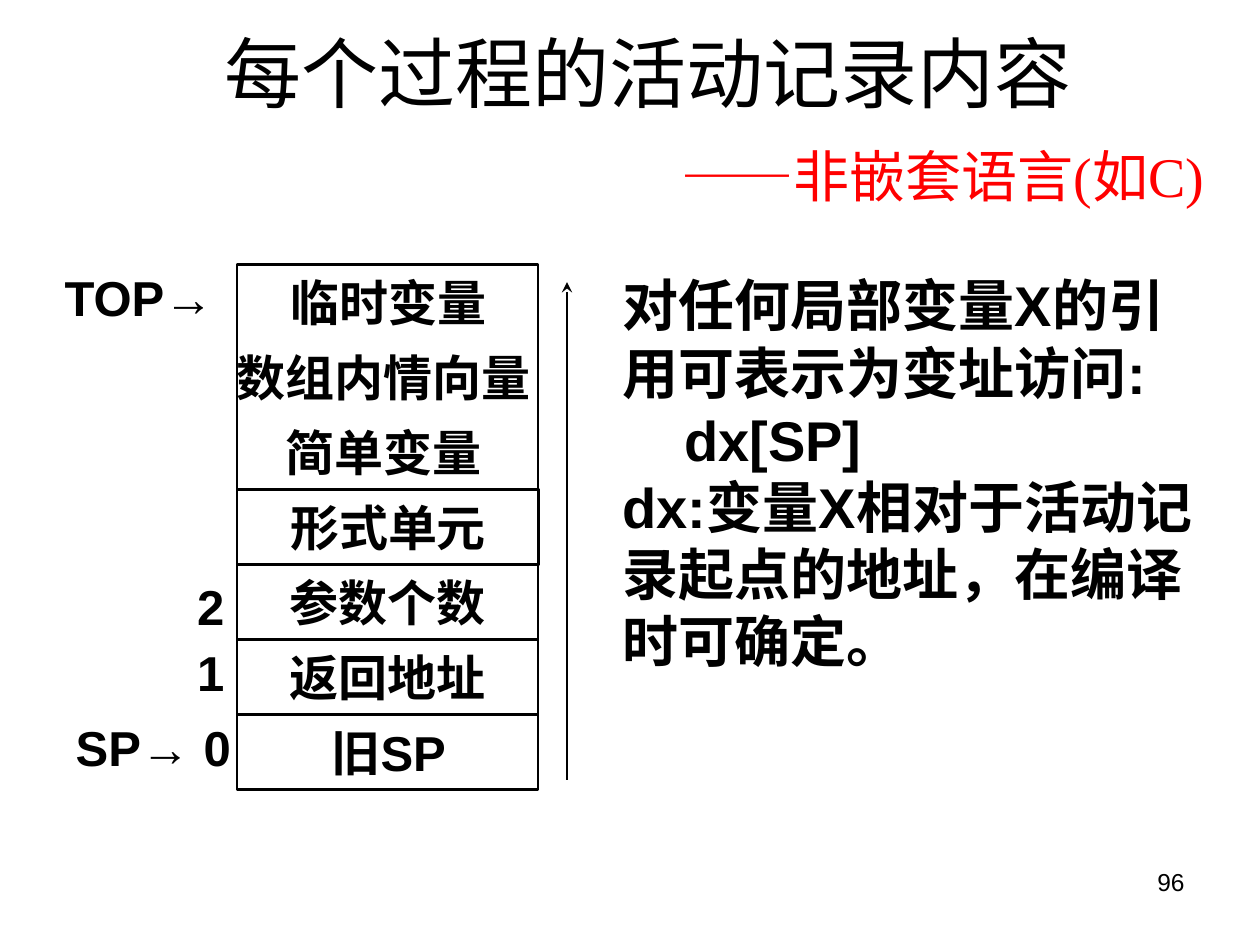
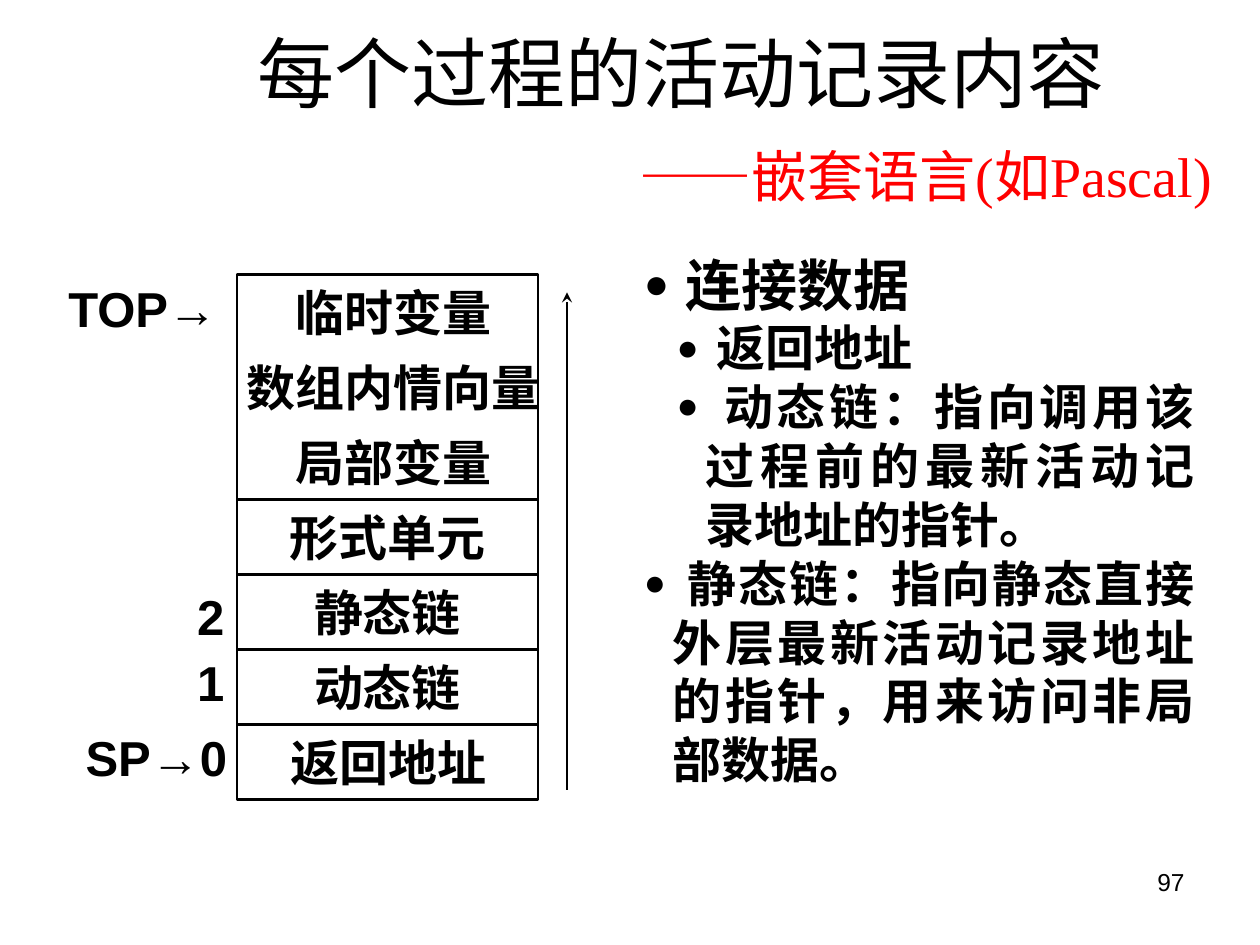
"""Builds two slides on activation records for flat and nested languages."""
from lxml import etree
from pptx import Presentation
from pptx import util as u
from pptx.dml.color import RGBColor
from pptx.enum import shapes, text
from pptx.oxml.ns import qn

BLACK, RED = "000000", "FF0000"
LEFT, CENTER, RIGHT, JUSTIFY = (text.PP_ALIGN.LEFT, text.PP_ALIGN.CENTER,
                                text.PP_ALIGN.RIGHT, text.PP_ALIGN.JUSTIFY)
TITLE = "每个过程的活动记录内容"
STACK_X, STACK_W, ROW_H = 1.88, 2.39, 0.595
LABEL_W, LABEL_H = 1.5, 0.52
LABEL_DY = [0, 2.45, 2.97, 3.57]
HANG = 0.23


def rgb(hex_color):
    return RGBColor.from_string(hex_color)


def write(tf, content, size=28, color=BLACK, bold=True, font="Arial",
          align=CENTER, before=0, new=False):
    p = tf.add_paragraph() if new else tf.paragraphs[0]
    p.alignment, p.space_before = align, u.Pt(before)
    r = p.add_run()
    r.text = content
    r.font.size, r.font.bold, r.font.name = u.Pt(size), bold, font
    r.font.color.rgb = rgb(color)
    return p


slides = [
    {
        "number": "96", "top": 2.1,
        "title": (0.35, 9.59, 0.38), "subtitle": "——非嵌套语言(如C)",
        "rows": [("临时变量", 2.41), ("数组内情向量", 2.33), ("简单变量", 2.33),
                 ("形式单元", 2.4), ("参数个数", 2.39), ("返回地址", 2.39),
                 ("旧SP", 2.41)],
        "labels": [("TOP→", 1.79), ("2", 1.88), ("1", 1.88), ("SP→ 0", 1.93)],
        "body": (4.84, 2.1, 4.92, 4.25), "bullets": False,
        "points": [("对任何局部变量X的引用可表示为变址访问:", 32, 0),
                   ("dx[SP]", 32, 0.49),
                   ("dx:变量X相对于活动记录起点的地址，在编译时可确定。", 32, 0)],
    },
    {
        "number": "97", "top": 2.18,
        "title": (0.98, 8.86, 0.22), "subtitle": "——嵌套语言(如Pascal)",
        "rows": [("临时变量", 2.49), ("数组内情向量", 2.49), ("局部变量", 2.49),
                 ("形式单元", 2.39), ("静态链", 2.39), ("动态链", 2.39),
                 ("返回地址", 2.41)],
        "labels": [("TOP→", 1.82), ("2", 1.88), ("1", 1.88), ("SP→0", 1.9)],
        "body": (5, 1.94, 4.58, 5), "bullets": True,
        "points": [(" 连接数据", 32, 0.24),
                   (" 返回地址", 28, 0.5),
                   (" 动态链：指向调用该过程前的最新活动记录地址的指针。", 28, 0.5),
                   (" 静态链：指向静态直接外层最新活动记录地址的指针，用来访问非局部数据。",
                    28, 0.24)],
    },
]

prs = Presentation()
prs.slide_width, prs.slide_height = u.Inches(10), u.Inches(7.5)

for data in slides:
    s = prs.slides.add_slide(prs.slide_layouts[1])
    top = data["top"]

    sp = s.shapes.title
    x, w, inset = data["title"]
    sp.left, sp.top, sp.width, sp.height = map(u.Inches, (x, 0.13, w, 1.6))
    tf = sp.text_frame
    tf.auto_size = text.MSO_AUTO_SIZE.NONE
    tf.vertical_anchor = text.MSO_ANCHOR.MIDDLE
    tf.margin_left = tf.margin_right = u.Inches(inset)
    write(tf, TITLE, size=44, bold=False, font="Times New Roman")
    write(tf, data["subtitle"], size=32, color=RED, bold=False,
          font="Times New Roman", align=RIGHT, before=14, new=True)

    sp = s.placeholders[1]
    sp.left, sp.top, sp.width, sp.height = map(u.Inches, data["body"])
    tf = sp.text_frame
    tf.auto_size = text.MSO_AUTO_SIZE.NONE
    for i, (point, size, indent) in enumerate(data["points"]):
        p = write(tf, point, size=size, new=i > 0,
                  align=JUSTIFY if data["bullets"] else LEFT)
        pPr = p._p.get_or_add_pPr()
        pPr.set("marL", str(u.Inches(indent)))
        pPr.set("indent", str(u.Inches(-HANG if data["bullets"] else 0)))
        if data["bullets"]:
            p.level = 1 if indent == 0.5 else 0
            etree.SubElement(pPr, qn("a:buSzPct"), val="75000")
            etree.SubElement(pPr, qn("a:buFont"), typeface="Arial")
            etree.SubElement(pPr, qn("a:buChar"), char="●")
        else:
            etree.SubElement(pPr, qn("a:buNone"))

    frame = [(STACK_W, 0, len(data["rows"]), "")]
    rows = [(w, i, 1, name) for i, (name, w) in enumerate(data["rows"])]
    for w, row, span, name in frame + rows:
        sp = s.shapes.add_shape(
            shapes.MSO_SHAPE.RECTANGLE, u.Inches(STACK_X),
            u.Inches(top + row * ROW_H), u.Inches(w), u.Inches(span * ROW_H))
        sp.shadow.inherit = False
        sp.fill.background()
        if not name or row in (3, 4, 5):
            sp.line.color.rgb, sp.line.width = rgb(BLACK), u.Pt(1.5)
        else:
            sp.line.fill.background()
        if name:
            sp.text_frame.word_wrap = False
            sp.text_frame.vertical_anchor = text.MSO_ANCHOR.MIDDLE
            write(sp.text_frame, name)

    for (label, right), dy in zip(data["labels"], LABEL_DY):
        sp = s.shapes.add_textbox(
            u.Inches(right - LABEL_W), u.Inches(top + dy),
            u.Inches(LABEL_W), u.Inches(LABEL_H))
        sp.text_frame.word_wrap = True
        sp.text_frame.vertical_anchor = text.MSO_ANCHOR.MIDDLE
        write(sp.text_frame, label, align=RIGHT)

    arrow = s.shapes.add_connector(
        shapes.MSO_CONNECTOR.STRAIGHT, u.Inches(4.5), u.Inches(top + 4.09),
        u.Inches(4.5), u.Inches(top + 0.14))
    arrow.line.color.rgb, arrow.line.width = rgb(BLACK), u.Pt(1.5)
    etree.SubElement(arrow.line._get_or_add_ln(), qn("a:tailEnd"), type="stealth")
    etree.SubElement(arrow._element.spPr, qn("a:effectLst"))

    sp = s.shapes.add_textbox(u.Inches(7.17), u.Inches(6.83),
                              u.Inches(2.33), u.Inches(0.52))
    sp.text_frame.word_wrap = True
    write(sp.text_frame, data["number"], size=14, bold=False, align=RIGHT)

prs.save("out.pptx")
